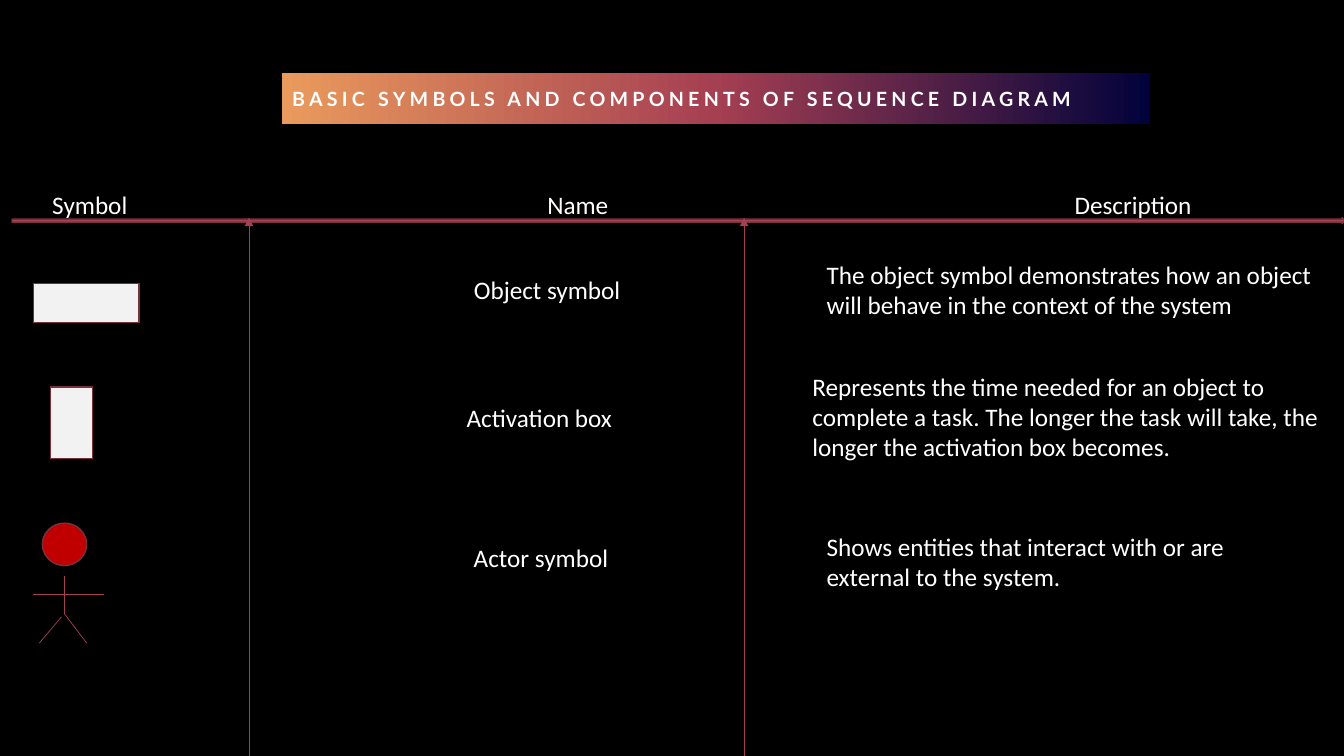
from copy import deepcopy
from pptx import Presentation
from pptx.dml.color import RGBColor
from pptx.enum.shapes import MSO_CONNECTOR as CONN, MSO_SHAPE as SHAPE
from pptx.enum.text import MSO_ANCHOR as ANCHOR, PP_ALIGN as ALIGN
from pptx.oxml.ns import qn
from pptx.util import Inches, Pt

BLACK = RGBColor(0x00, 0x00, 0x00)
WHITE = RGBColor(0xFF, 0xFF, 0xFF)
PALE = RGBColor(0xF2, 0xF2, 0xF2)
RED = RGBColor(0xC0, 0x00, 0x00)
ROSE = RGBColor(0xA5, 0x3F, 0x52)
MAROON = RGBColor(0x7A, 0x2F, 0x3D)
NAVY = RGBColor(0x01, 0x02, 0x3B)
ORANGE = RGBColor(0xEA, 0x9A, 0x5C)
NO_STYLE = "{2D5ABB26-0587-4C30-8999-92F81FD0307C}"


def write(tf, text, size=18, font="Calibri", bold=False, spacing=None):
    tf.word_wrap = True
    p = tf.paragraphs[0]
    p.alignment = ALIGN.LEFT
    r = p.add_run()
    r.text = text
    r.font.size = Pt(size)
    r.font.name = font
    r.font.bold = bold
    r.font.color.rgb = WHITE
    if spacing:
        r._r.get_or_add_rPr().set("spc", str(spacing * 100))
    return p


def add_text(s, text, x, y, w, h):
    sp = s.shapes.add_textbox(Inches(x), Inches(y), Inches(w), Inches(h))
    return write(sp.text_frame, text)


def add_shape(s, kind, x, y, w, h, fill=None):
    sp = s.shapes.add_shape(kind, Inches(x), Inches(y), Inches(w), Inches(h))
    sp.shadow.inherit = False
    if fill is None:
        sp.line.fill.background()
    else:
        sp.fill.solid()
        sp.fill.fore_color.rgb = fill
        sp.line.color.rgb = MAROON
        sp.line.width = Pt(1)
    return sp


def add_line(s, x1, y1, x2, y2, arrow=False):
    c = s.shapes.add_connector(CONN.STRAIGHT, Inches(x1), Inches(y1), Inches(x2), Inches(y2))
    c.line.color.rgb = ROSE
    c.line.width = Pt(0.5)
    if arrow:
        ln = c.line._get_or_add_ln()
        ln.append(ln.makeelement(qn("a:tailEnd"), {"type": "triangle"}))
    sp_pr = c._element.spPr
    sp_pr.append(sp_pr.makeelement(qn("a:effectLst"), {}))


def add_title(s, text):
    sp = add_shape(s, SHAPE.RECTANGLE, 2.8, 0.72, 8.61, 0.51)
    sp.fill.gradient()
    sp.fill.gradient_angle = 180
    stops = sp.fill.gradient_stops
    first = stops[0]._gs
    first.addnext(deepcopy(first))
    for stop, color, pos in zip(sp.fill.gradient_stops, (NAVY, ROSE, ORANGE), (0, 0.5, 1)):
        stop.color.rgb = color
        stop.position = pos
    sp.text_frame.vertical_anchor = ANCHOR.MIDDLE
    write(sp.text_frame, text, size=14, font="Lato", bold=True, spacing=3)


def add_header(s, names, stops):
    p = add_text(s, "\t".join(names), 0.42, 1.83, 12.54, 0.4)
    p_pr = p._p.get_or_add_pPr()
    tabs = p_pr.makeelement(qn("a:tabLst"), {})
    for stop in stops:
        tabs.append(tabs.makeelement(qn("a:tab"), {"pos": str(Inches(stop)), "algn": "l"}))
    p_pr.append(tabs)


def add_cell_table(s, text, x, y, w, h):
    table = s.shapes.add_table(1, 1, Inches(x), Inches(y), Inches(w), Inches(h)).table
    table.first_row = table.horz_banding = False
    table._tbl.tblPr.find(qn("a:tableStyleId")).text = NO_STYLE
    cell = table.cell(0, 0)
    cell.fill.background()
    cell.vertical_anchor = ANCHOR.MIDDLE
    cell.margin_left, cell.margin_top = Inches(0.1), Inches(0.17)
    cell.margin_right = cell.margin_bottom = Inches(0.25)
    write(cell.text_frame, text)


def add_actor(s):
    add_shape(s, SHAPE.OVAL, 0.42, 5.19, 0.44, 0.42, RED)
    for limb in ((0.64, 5.71, 0.64, 6.09), (0.33, 5.9, 1.03, 5.9),
                 (0.61, 6.12, 0.39, 6.38), (0.64, 6.09, 0.86, 6.38)):
        add_line(s, *limb)


def main():
    prs = Presentation()
    prs.slide_width, prs.slide_height = Inches(13.33), Inches(7.5)
    s = prs.slides.add_slide(prs.slide_layouts[6])
    s.background.fill.solid()
    s.background.fill.fore_color.rgb = BLACK

    add_title(s, "BASIC SYMBOLS AND COMPONENTS OF SEQUENCE DIAGRAM")
    add_header(s, ("Symbol", "Name", "Description"), (4.91, 10.14))
    add_shape(s, SHAPE.RECTANGLE, 0.33, 2.81, 1.05, 0.39, PALE)
    add_shape(s, SHAPE.RECTANGLE, 0.5, 3.84, 0.42, 0.71, PALE)
    add_cell_table(s, "Object symbol", 4.6, 2.56, 1.95, 0.72)
    add_text(s, "The object symbol demonstrates how an object will behave "
             "in the context of the system", 8.1, 2.52, 5.23, 0.71)
    add_shape(s, SHAPE.RIGHT_ARROW, 0.12, 2.16, 13.22, 0.06, ROSE)
    add_text(s, "Activation box", 4.53, 3.94, 2.07, 0.4)
    add_text(s, "Represents the time needed for an object to complete a task. "
             "The longer the task will take, the longer the activation box becomes.",
             7.96, 3.63, 5.36, 1.01)
    add_actor(s)
    add_text(s, "Actor symbol", 4.6, 5.33, 1.76, 0.4)
    add_text(s, "Shows entities that interact with or are external to the system.",
             8.1, 5.22, 4.97, 0.71)
    for x in (2.47, 7.38):
        add_line(s, x, 7.5, x, 2.16, arrow=True)

    prs.save("out.pptx")


if __name__ == "__main__":
    main()
